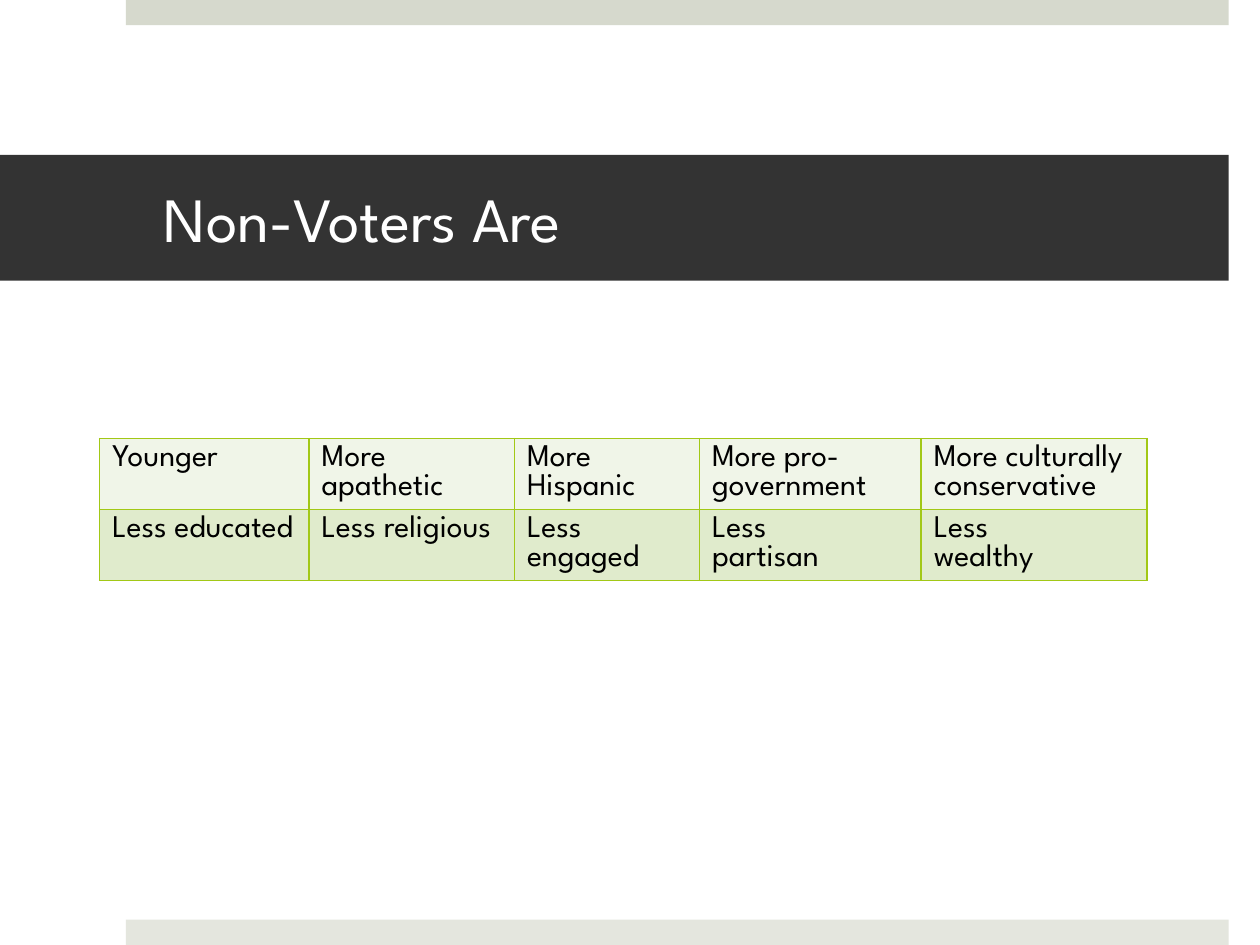
"""Build the slide on who non-voters are: a title band and a table of traits."""
from lxml import etree
from pptx import Presentation
from pptx import util as u
from pptx.dml.color import RGBColor
from pptx.enum import shapes, text
from pptx.oxml.ns import qn

FONT = "League Spartan"
WHITE = RGBColor(0xFF, 0xFF, 0xFF)
BLACK = RGBColor(0x00, 0x00, 0x00)
DARK = RGBColor(0x33, 0x33, 0x33)
TOP_BAR = RGBColor(0xD6, 0xD9, 0xCD)
BOTTOM_BAR = RGBColor(0xE4, 0xE6, 0xDE)
BORDER = RGBColor(0xA2, 0xC8, 0x16)
ROW_FILLS = [RGBColor(0xF0, 0xF5, 0xE8), RGBColor(0xE0, 0xEB, 0xCC)]


def write(tf, content, size=18, color=BLACK):
    tf.text = content
    tf.word_wrap = True
    for p in tf.paragraphs:
        p.alignment = text.PP_ALIGN.LEFT
        for r in p.runs:
            r.font.name = FONT
            r.font.size = u.Pt(size)
            r.font.color.rgb = color


def add_borders(cell, color, width):
    tcPr = cell._tc.get_or_add_tcPr()
    for i, side in enumerate(("lnL", "lnR", "lnT", "lnB")):
        ln = etree.Element(qn(f"a:{side}"), w=str(u.Pt(width)))
        fill = etree.SubElement(ln, qn("a:solidFill"))
        etree.SubElement(fill, qn("a:srgbClr"), val=str(color))
        tcPr.insert(i, ln)


prs = Presentation()
prs.slide_width, prs.slide_height = u.Cm(25.4), u.Cm(19.05)
s = prs.slides.add_slide(prs.slide_layouts[5])

for top, color in ((0, TOP_BAR), (18.54, BOTTOM_BAR)):
    sp = s.shapes.add_shape(shapes.MSO_SHAPE.RECTANGLE,
                            u.Cm(2.54), u.Cm(top), u.Cm(22.23), u.Cm(0.51))
    sp.shadow.inherit = False
    sp.fill.solid()
    sp.fill.fore_color.rgb = color
    sp.line.fill.background()

title = s.shapes.title
title.left, title.top = u.Cm(0), u.Cm(3.12)
title.width, title.height = u.Cm(24.77), u.Cm(2.54)
title.fill.solid()
title.fill.fore_color.rgb = DARK
tf = title.text_frame
tf.auto_size = text.MSO_AUTO_SIZE.NONE
tf.vertical_anchor = text.MSO_ANCHOR.MIDDLE
tf.margin_left, tf.margin_right = u.Cm(3.3), u.Cm(0.76)
tf.margin_top = tf.margin_bottom = u.Cm(0.13)
write(tf, "Non-Voters Are", size=36, color=WHITE)

traits = [
    ["Younger", "More apathetic", "More Hispanic", "More pro-government",
     "More culturally conservative"],
    ["Less educated", "Less religious", "Less engaged", "Less\npartisan",
     "Less\nwealthy"],
]
widths = [4.22, 4.14, 3.73, 4.47, 4.55]
row_height = 1.43
table = s.shapes.add_table(len(traits), len(widths), u.Cm(2.01), u.Cm(8.84),
                           u.Cm(sum(widths)), u.Cm(row_height * len(traits))).table
table.first_row = False
table.horz_banding = False
for column, width in zip(table.columns, widths):
    column.width = u.Cm(width)
for row, labels, color in zip(table.rows, traits, ROW_FILLS):
    row.height = u.Cm(row_height)
    for cell, label in zip(row.cells, labels):
        cell.fill.solid()
        cell.fill.fore_color.rgb = color
        write(cell.text_frame, label)
        add_borders(cell, BORDER, 1)

prs.save("out.pptx")
